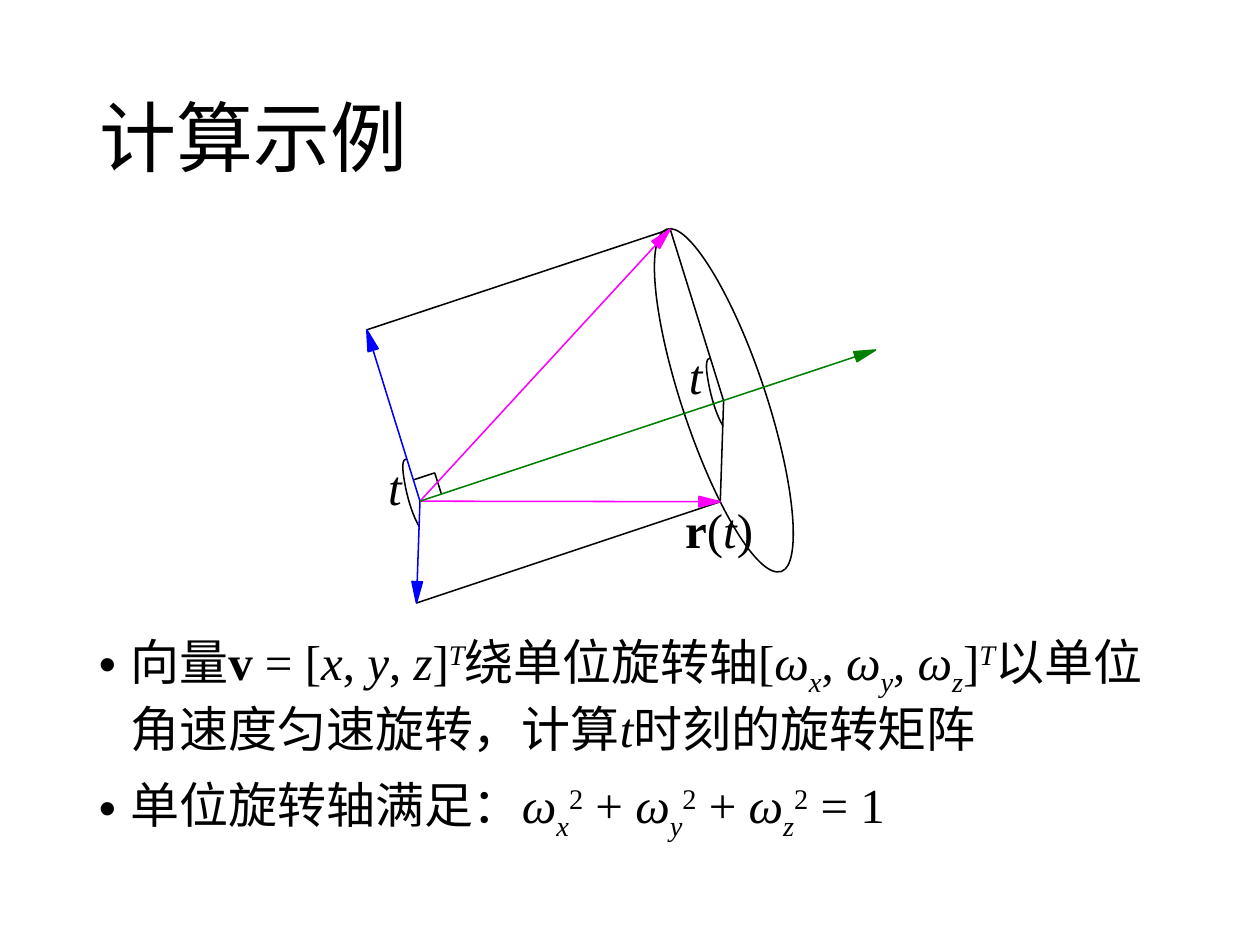
"""Build a slide on rotating a vector about a unit axis."""
from math import hypot

from lxml import etree
from pptx import Presentation
from pptx.dml.color import RGBColor
from pptx.enum.shapes import MSO_CONNECTOR
from pptx.enum.text import MSO_ANCHOR, MSO_AUTO_SIZE, PP_ALIGN
from pptx.oxml.ns import qn
from pptx.util import Pt

STRAIGHT = MSO_CONNECTOR.STRAIGHT
MIDDLE, TOP, LEFT = MSO_ANCHOR.MIDDLE, MSO_ANCHOR.TOP, PP_ALIGN.LEFT
FIT_SHAPE, NO_FIT = MSO_AUTO_SIZE.SHAPE_TO_FIT_TEXT, MSO_AUTO_SIZE.NONE
BLACK = RGBColor(0, 0, 0)
MAGENTA = RGBColor(255, 0, 255)
BLUE = RGBColor(0, 0, 255)
GREEN = RGBColor(0, 127, 0)
LATIN_FONT, CHINESE_FONT = "Times New Roman", "Noto Sans CJK SC"
LINE_WIDTH = 0.88
HEAD_LENGTH, HEAD_HALF_WIDTH = 12.2, 3
SUPERSCRIPT, SUBSCRIPT = 30, -25

TITLE = "计算示例"


def omega(axis):
    return [("ω", "i", 0), (axis, "i", SUBSCRIPT)]


def omega_squared(axis):
    return omega(axis) + [("2", "", SUPERSCRIPT)]


COMMA, PLUS = (", ", "", 0), (" + ", "", 0)
TRANSPOSE = [("]", "", 0), ("T", "i", SUPERSCRIPT)]
BULLETS = [
    [("向量", "", 0), ("v", "b", 0), (" = [", "", 0), ("x", "i", 0), COMMA,
     ("y", "i", 0), COMMA, ("z", "i", 0), *TRANSPOSE, ("绕单位旋转轴[", "", 0),
     *omega("x"), COMMA, *omega("y"), COMMA, *omega("z"), *TRANSPOSE,
     ("以单位角速度匀速旋转，计算", "", 0), ("t", "i", 0), ("时刻的旋转矩阵", "", 0)],
    [("单位旋转轴满足：", "", 0), *omega_squared("x"), PLUS, *omega_squared("y"),
     PLUS, *omega_squared("z"), (" = 1", "", 0)],
]
LABELS = [
    ((384.5, 282.2, 55.5, 41), [("r", "b", 0), ("(", "", 0), ("t", "i", 0), (")", "", 0)]),
    ((214.7, 257.3, 22.5, 41), [("t", "i", 0)]),
    ((386.6, 194.1, 22.5, 41), [("t", "i", 0)]),
]

ORIGIN, CIRCLE_CENTER = (240, 286.4), (413.5, 229)
VECTOR_TIP, ROTATED_TIP = (383, 131), (411.6, 286.7)
NORMAL_TIP, ROTATED_NORMAL_TIP = (209.6, 188.5), (238, 344.6)
AXIS_TIP = (500.4, 200)
CORNER = (248.4, 270.2)

CIRCLE = [(381, 131), (368.6, 135.4), (373, 182.2), (391, 236.2),
          (409, 290.2), (433.4, 330.5), (446.4, 326.6),
          (458.6, 322.6), (454.3, 275), (436.3, 221),
          (418.3, 167), (393.1, 126.7), (381, 131)]
ANGLE_ARC = [(406.1, 204.5), (403.2, 204.5), (403.2, 209.5), (404.6, 217.4),
             (406.1, 226.1), (408.9, 236.2), (413.1, 243.4)]
ARC_SHIFT = (-173.5, 57.6)

EDGES = [
    (CIRCLE_CENTER, VECTOR_TIP), (CIRCLE_CENTER, ROTATED_TIP),
    (NORMAL_TIP, VECTOR_TIP), (ROTATED_NORMAL_TIP, ROTATED_TIP),
    ((236.3, 274.2), CORNER), ((252.2, 282.2), CORNER),
]
ARROWS = [
    (VECTOR_TIP, MAGENTA), (ROTATED_TIP, MAGENTA),
    (NORMAL_TIP, BLUE), (ROTATED_NORMAL_TIP, BLUE), (AXIS_TIP, GREEN),
]


def add_runs(paragraph, runs, size, latin_font=LATIN_FONT):
    for text, style, baseline in runs:
        run = paragraph.add_run()
        run.text = text
        font = run.font
        font.name, font.size, font.color.rgb = latin_font, Pt(size), BLACK
        font.bold, font.italic = style == "b", style == "i"
        properties = font._element
        etree.SubElement(properties, qn("a:ea")).set("typeface", CHINESE_FONT)
        if baseline:
            properties.set("baseline", str(baseline * 1000))


def add_text_box(slide, box, wrap, fit):
    frame = slide.shapes.add_textbox(*map(Pt, box)).text_frame
    frame.word_wrap, frame.auto_size = wrap, fit
    frame.vertical_anchor = TOP
    return frame


def add_outline(slide, points, color, closed):
    builder = slide.shapes.build_freeform(Pt(points[0][0]), Pt(points[0][1]))
    builder.add_line_segments([(Pt(x), Pt(y)) for x, y in points[1:]], close=closed)
    shape = builder.convert_to_shape()
    shape.shadow.inherit = False
    shape.fill.background()
    shape.line.color.rgb, shape.line.width = color, Pt(LINE_WIDTH)
    return shape


def add_curve(slide, controls, closed):
    shape = add_outline(slide, controls, BLACK, closed)
    segments = list(shape._element.iter(qn("a:lnTo")))
    for first in range(0, len(segments), 3):
        curve = etree.Element(qn("a:cubicBezTo"))
        segments[first].addprevious(curve)
        for segment in segments[first:first + 3]:
            curve.append(segment[0])
            segment.getparent().remove(segment)


def add_line(slide, start, end, color):
    connector = slide.shapes.add_connector(STRAIGHT, *map(Pt, (*start, *end)))
    connector.line.color.rgb, connector.line.width = color, Pt(LINE_WIDTH)
    etree.SubElement(connector._element.spPr, qn("a:effectLst"))


def add_arrow(slide, start, tip, color):
    dx, dy = tip[0] - start[0], tip[1] - start[1]
    length = hypot(dx, dy)
    ux, uy = dx / length, dy / length
    base = (tip[0] - HEAD_LENGTH * ux, tip[1] - HEAD_LENGTH * uy)
    sides = [(base[0] - side * uy, base[1] + side * ux)
             for side in (HEAD_HALF_WIDTH, -HEAD_HALF_WIDTH)]
    add_line(slide, start, base, color)
    head = add_outline(slide, [tip, *sides], color, True)
    head.fill.solid()
    head.fill.fore_color.rgb = color


def add_title(slide):
    title = slide.shapes.title
    title.left, title.top, title.width, title.height = map(Pt, (49.5, 28.6, 621, 104.4))
    frame = title.text_frame
    frame.vertical_anchor, frame.auto_size = MIDDLE, NO_FIT
    paragraph = frame.paragraphs[0]
    paragraph.alignment, paragraph.line_spacing = LEFT, 0.9
    add_runs(paragraph, [(TITLE, "", 0)], 44, CHINESE_FONT)


def add_bullets(slide):
    frame = add_text_box(slide, (49.5, 357.4, 621, 129), True, NO_FIT)
    for index, runs in enumerate(BULLETS):
        paragraph = frame.add_paragraph() if index else frame.paragraphs[0]
        properties = paragraph._p.get_or_add_pPr()
        properties.set("marL", str(Pt(18)))
        properties.set("indent", str(-Pt(18)))
        etree.SubElement(properties, qn("a:buFont")).set("typeface", "Arial")
        etree.SubElement(properties, qn("a:buChar")).set("char", "•")
        if index:
            paragraph.space_before = Pt(10)
        add_runs(paragraph, runs, 28)


def add_diagram(slide):
    add_curve(slide, CIRCLE, True)
    for shift_x, shift_y in ((0, 0), ARC_SHIFT):
        add_curve(slide, [(x + shift_x, y + shift_y) for x, y in ANGLE_ARC], False)
    for start, end in EDGES:
        add_line(slide, start, end, BLACK)
    for tip, color in ARROWS:
        add_arrow(slide, ORIGIN, tip, color)
    for box, runs in LABELS:
        add_runs(add_text_box(slide, box, False, FIT_SHAPE).paragraphs[0], runs, 28)


def main():
    presentation = Presentation()
    presentation.slide_width, presentation.slide_height = Pt(720), Pt(540)
    slide = presentation.slides.add_slide(presentation.slide_layouts[5])
    add_title(slide)
    add_bullets(slide)
    add_diagram(slide)
    presentation.save("out.pptx")


if __name__ == "__main__":
    main()
